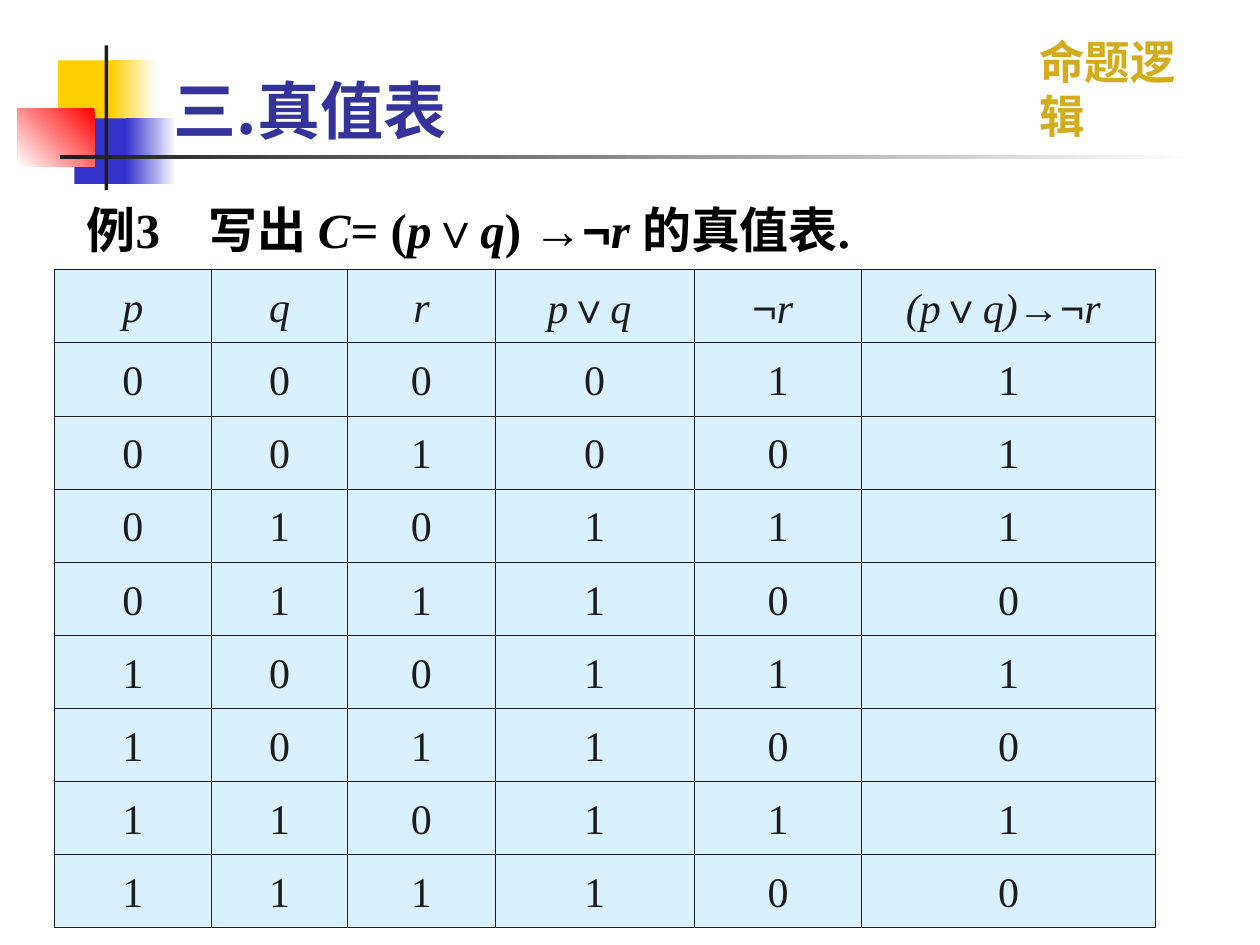
import itertools

import pptx
import pptx.dml.color
import pptx.enum.shapes
import pptx.enum.text
import pptx.util
from lxml import etree
from pptx.oxml.ns import qn
from pptx.util import Inches

COLORS = {
    "yellow": "FFCF01", "blue": "3333CC", "red": "FF0000", "white": "FFFFFF",
    "ink": "1C1C1C", "gold": "D3AC1B", "title": "333399", "black": "000000",
    "cell": "D9F1FF",
}
CJK = "Noto Sans CJK SC"
SERIF = "Times New Roman"


def rgb(name):
    return pptx.dml.color.RGBColor.from_string(COLORS[name])


def add_runs(p, text, size, color, font=SERIF, bold=False, italic=False):
    """Add text to a paragraph, with logical operators in runs of their own in Arial."""
    for is_operator, chars in itertools.groupby(text, lambda ch: ch in "∨→¬"):
        r = p.add_run()
        r.text = "".join(chars)
        r.font.size = pptx.util.Pt(size)
        r.font.name = "Arial" if is_operator else font
        r.font.bold = bold
        r.font.italic = italic
        r.font.color.rgb = rgb(color)
        etree.SubElement(r.font._element, qn("a:ea"), typeface=CJK)


prs = pptx.Presentation()
prs.slide_width, prs.slide_height = Inches(10), Inches(7.5)
s = prs.slides.add_slide(prs.slide_layouts[5])

# Corner ornament: left, top, width, height, colours from start to end, clockwise angle
ornament = [
    (0.46, 0.48, 0.48, 0.52, ["yellow"], 0),
    (0.88, 0.48, 0.36, 0.52, ["white", "yellow"], 180),
    (0.59, 0.94, 0.46, 0.52, ["blue"], 0),
    (1.0, 0.94, 0.4, 0.52, ["white", "blue"], 180),
    (0.14, 0.86, 0.61, 0.46, ["red", "white"], 135),
    (0.83, 0.36, 0.03, 1.15, ["ink"], 0),
    (0.48, 1.23, 9, 0.03, ["white", "ink"], 180),
]
for left, top, width, height, colors, angle in ornament:
    sp = s.shapes.add_shape(pptx.enum.shapes.MSO_SHAPE.RECTANGLE,
                            Inches(left), Inches(top), Inches(width), Inches(height))
    sp.shadow.inherit = False
    sp.line.fill.background()
    if len(colors) == 1:
        sp.fill.solid()
        sp.fill.fore_color.rgb = rgb(colors[0])
    else:
        sp.fill.gradient()
        sp.fill.gradient_angle = 360 - angle
        for stop, color in zip(sp.fill.gradient_stops, colors):
            stop.color.rgb = rgb(color)

# Chapter name
sp = s.shapes.add_textbox(Inches(8.15), Inches(0.22), Inches(1.64), Inches(0.54))
tf = sp.text_frame
tf.word_wrap = False
tf.auto_size = pptx.enum.text.MSO_AUTO_SIZE.SHAPE_TO_FIT_TEXT
add_runs(tf.paragraphs[0], "命题逻辑", 26, "gold", "Cabin", bold=True)

# Title
sp = s.shapes.title
sp.left, sp.top, sp.width, sp.height = Inches(1.28), Inches(-0.03), Inches(9), Inches(1.25)
tf = sp.text_frame
tf.auto_size = pptx.enum.text.MSO_AUTO_SIZE.NONE
tf.vertical_anchor = pptx.enum.text.MSO_ANCHOR.BOTTOM
p = tf.paragraphs[0]
p.alignment = pptx.enum.text.PP_ALIGN.LEFT
add_runs(p, "三.真值表", 36, "title", CJK, bold=True)

# Example statement
sp = s.shapes.add_textbox(Inches(0.59), Inches(1.49), Inches(7.82), Inches(0.69))
tf = sp.text_frame
tf.word_wrap = True
p = tf.paragraphs[0]
p.line_spacing = 1.1
tabs = etree.SubElement(p._p.get_or_add_pPr(), qn("a:tabLst"))
etree.SubElement(tabs, qn("a:tab"), pos=str(Inches(0.97)), algn="l")
statement = [("例3\t写出 ", False), ("C", True), ("= (", False), ("p", True), ("∨", False),
             ("q", True), (") →¬", False), ("r ", True), ("的真值表.", False)]
for text, italic in statement:
    add_runs(p, text, 28, "black", bold=True, italic=italic)

# Truth table
rows = [["p", "q", "r", "p∨q ", "¬r ", "(p∨q)→¬r "]]
for p_val, q_val, r_val in itertools.product((0, 1), repeat=3):
    either, not_r = p_val | q_val, 1 - r_val
    rows.append([p_val, q_val, r_val, either, not_r, (1 - either) | not_r])

col_widths = [1.25, 1.08, 1.17, 1.58, 1.33, 2.33]
table = s.shapes.add_table(len(rows), len(col_widths), Inches(0.43), Inches(2.14),
                           Inches(8.74), Inches(5.22)).table
table.first_row = table.horz_banding = False
for column, width in zip(table.columns, col_widths):
    column.width = Inches(width)

for i, values in enumerate(rows):
    for j, value in enumerate(values):
        cell = table.cell(i, j)
        tcPr = cell._tc.get_or_add_tcPr()
        for side in ("lnL", "lnR", "lnT", "lnB"):
            ln = etree.SubElement(tcPr, qn("a:" + side), w=str(pptx.util.Pt(0.45)))
            fill = etree.SubElement(ln, qn("a:solidFill"))
            etree.SubElement(fill, qn("a:srgbClr"), val=COLORS["ink"])
        cell.fill.solid()
        cell.fill.fore_color.rgb = rgb("cell")
        p = cell.text_frame.paragraphs[0]
        p.alignment = pptx.enum.text.PP_ALIGN.CENTER
        p.line_spacing = 1.2
        add_runs(p, str(value), 24, "ink", italic=i == 0)

prs.save("out.pptx")
